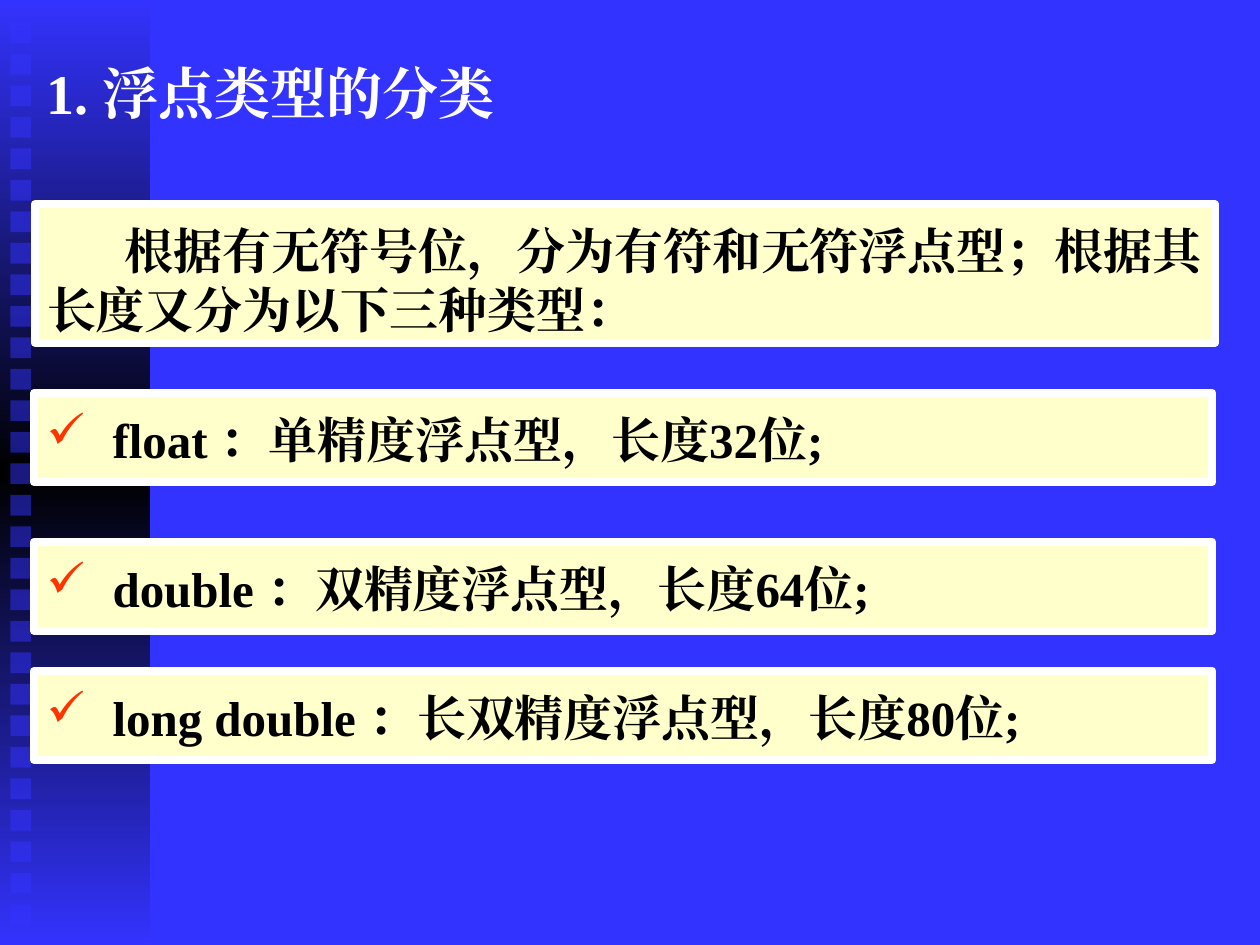
from lxml.etree import SubElement
from pptx import Presentation
from pptx.dml.color import RGBColor
from pptx.enum.shapes import MSO_SHAPE
from pptx.enum.text import MSO_ANCHOR, PP_ALIGN
from pptx.oxml.ns import qn
from pptx.util import Cm, Pt

BLUE, BLACK, WHITE = "3333FF", "000000", "FFFFFF"
CREAM, RED = "FFFFCC", "FF3300"


def colour(hex_value):
    return RGBColor.from_string(hex_value)


class SlideBuilder:
    font_name = "Times New Roman"
    bullet = "✓"

    def __init__(self, slide):
        self.slide = slide

    def background(self, hex_value):
        fill = self.slide.background.fill
        fill.solid()
        fill.fore_color.rgb = colour(hex_value)

    def rectangle(self, left, top, width, height, fill):
        shape = self.slide.shapes.add_shape(
            MSO_SHAPE.RECTANGLE, Cm(left), Cm(top), Cm(width), Cm(height))
        shape.shadow.inherit = False
        shape.fill.solid()
        shape.fill.fore_color.rgb = colour(fill)
        shape.line.fill.background()
        return shape

    def gradient_band(self, left, top, width, height, edge, middle):
        shape = self.rectangle(left, top, width, height, edge)
        shape.fill.gradient()
        shape.fill.gradient_angle = 90
        stop_list = shape._element.spPr.find(qn("a:gradFill")).find(qn("a:gsLst"))
        for stop in list(stop_list):
            stop_list.remove(stop)
        for position, hex_value in ((0, edge), (50, middle), (100, edge)):
            stop = SubElement(stop_list, qn("a:gs"), pos=str(position * 1000))
            SubElement(stop, qn("a:srgbClr"), val=hex_value)

    def translucent_square(self, left, top, size, fill, opacity):
        shape = self.rectangle(left, top, size, size, fill)
        colour_element = shape._element.spPr.find(qn("a:solidFill"))[0]
        SubElement(colour_element, qn("a:alpha"), val=str(opacity * 1000))

    def set_text(self, shape, text, size, hex_value, inset_top, indent=0, bulleted=False):
        text_frame = shape.text_frame
        text_frame.word_wrap = True
        text_frame.margin_left = text_frame.margin_right = Cm(0.25)
        text_frame.margin_top, text_frame.margin_bottom = Cm(inset_top), Cm(0.13)
        text_frame.text = text
        paragraph = text_frame.paragraphs[0]
        paragraph.alignment = PP_ALIGN.LEFT
        properties = paragraph._p.get_or_add_pPr()
        properties.set("indent", str(Cm(indent)))
        if bulleted:
            properties.set("marL", str(Cm(-indent)))
            bullet_colour = SubElement(properties, qn("a:buClr"))
            SubElement(bullet_colour, qn("a:srgbClr"), val=RED)
            SubElement(properties, qn("a:buChar"), char=self.bullet)
        for run in paragraph.runs:
            run.font.name = self.font_name
            run.font.size = Pt(size)
            run.font.bold = True
            run.font.color.rgb = colour(hex_value)
            SubElement(run.font._element, qn("a:ea"), typeface=self.font_name)

    def title(self, left, top, width, height, text):
        shape = self.slide.shapes.add_textbox(Cm(left), Cm(top), Cm(width), Cm(height))
        shape.text_frame.vertical_anchor = MSO_ANCHOR.MIDDLE
        self.set_text(shape, text, 32, WHITE, 0.13)

    def panel(self, left, top, width, height, text, indent, bulleted=False):
        shape = self.rectangle(left, top, width, height, CREAM)
        shape.line.color.rgb = colour(WHITE)
        shape.line.width = Pt(4.5)
        shape.text_frame.vertical_anchor = MSO_ANCHOR.TOP
        self.set_text(shape, text, 28, BLACK, 0.33, indent, bulleted)


def main():
    presentation = Presentation()
    presentation.slide_width, presentation.slide_height = Cm(25.4), Cm(19.05)
    builder = SlideBuilder(presentation.slides.add_slide(presentation.slide_layouts[6]))

    # Background with the decorated left edge
    builder.background(BLUE)
    builder.gradient_band(0, 0, 3.02, 19.05, BLUE, BLACK)
    for row in range(29):
        builder.translucent_square(0.21, 0.45 + row * 0.635, 0.42, BLUE, 50)

    # Introduction
    builder.panel(0.7, 4.12, 23.8, 2.79,
                  "根据有无符号位，分为有符和无符浮点型；根据其长度又分为以下三种类型：", 1.57)

    # Floating-point types
    for top, text in (
        (7.92, "float ：单精度浮点型，长度32位;"),
        (10.92, "double ：双精度浮点型，长度64位;"),
        (13.52, "long double ：长双精度浮点型，长度80位;"),
    ):
        builder.panel(0.69, top, 23.75, 1.8, text, -1.33, bulleted=True)

    # Title
    builder.title(0.69, 0.91, 21.59, 1.91, "1. 浮点类型的分类")

    presentation.save("out.pptx")


if __name__ == "__main__":
    main()
